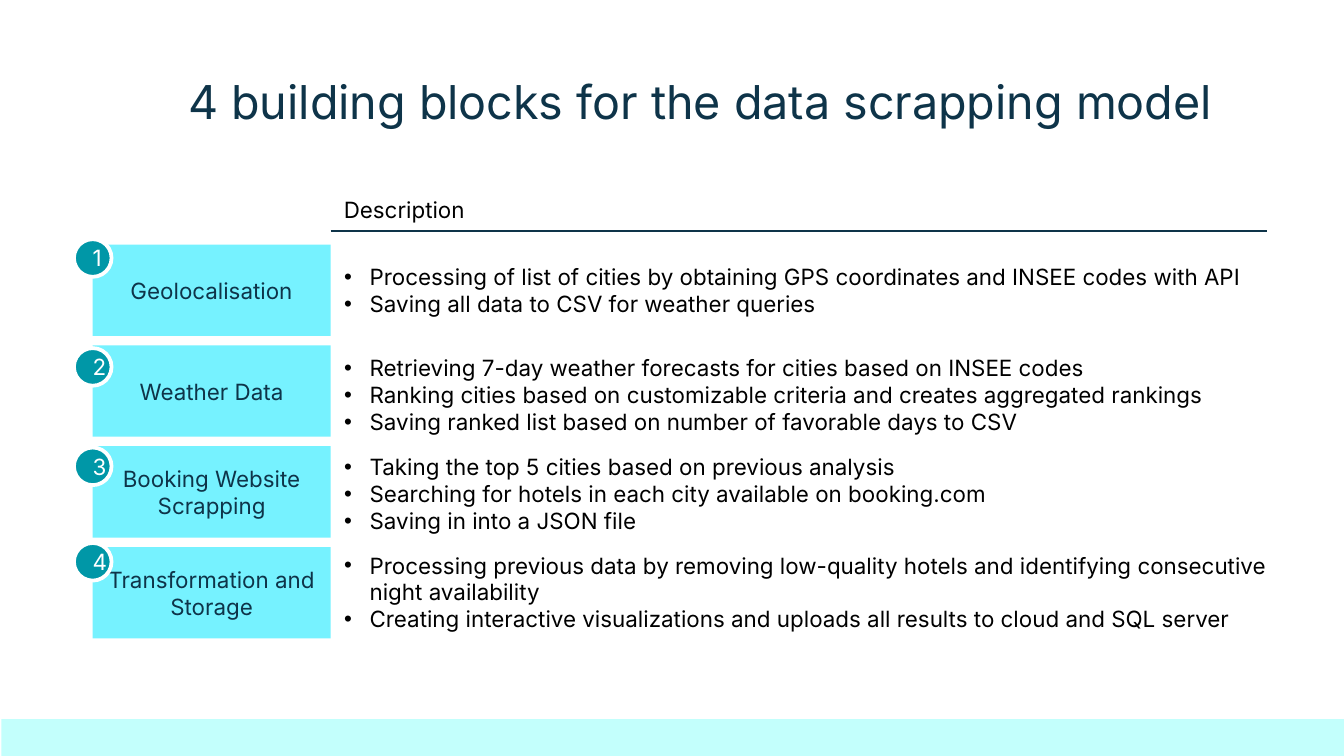
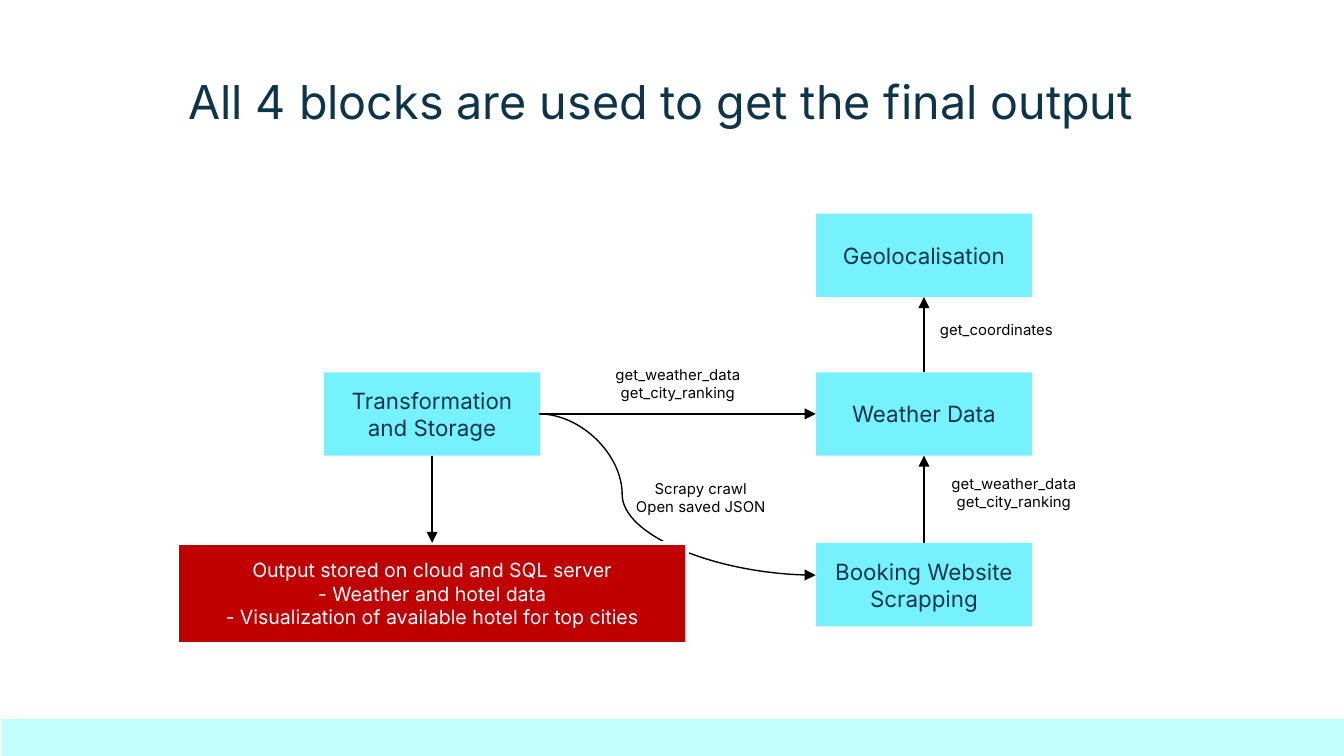
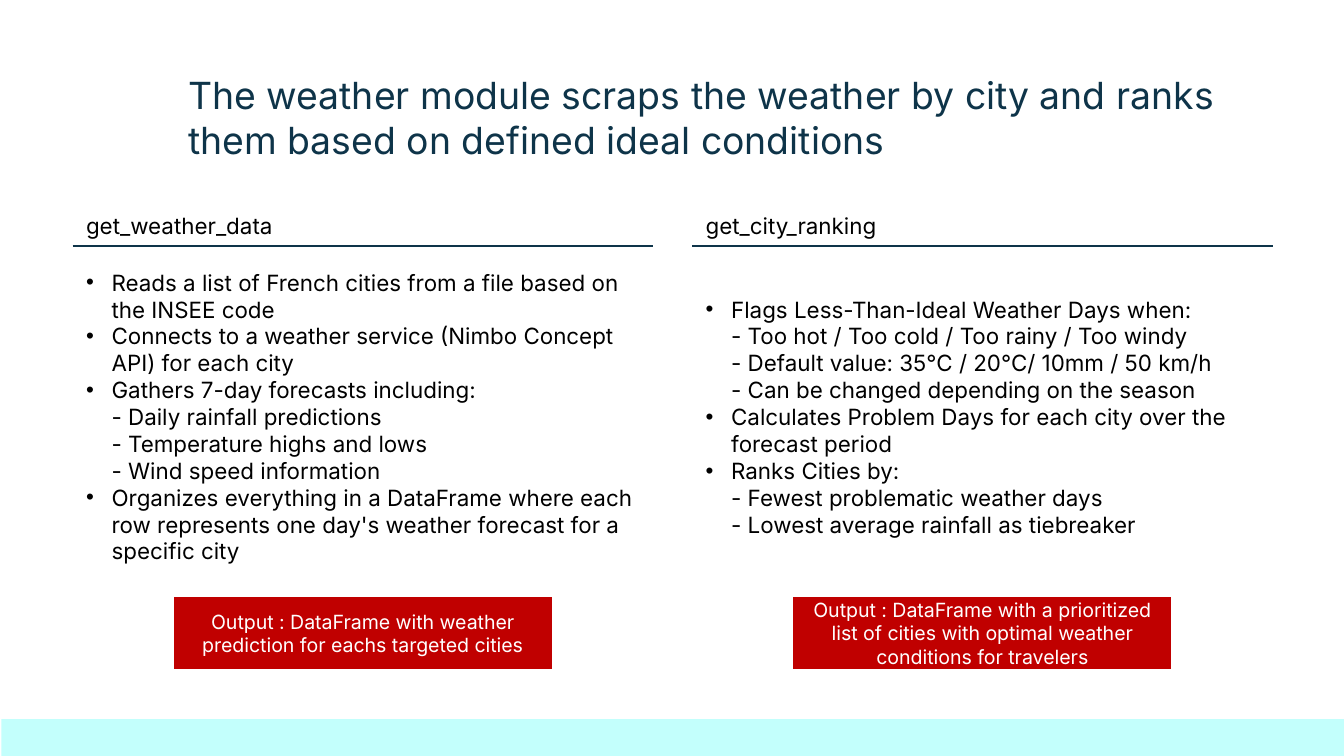
"""Build three slides on the blocks of a data scraping model."""
from dataclasses import dataclass
from typing import NamedTuple

from lxml.etree import SubElement
from pptx import Presentation
from pptx.dml.color import RGBColor
from pptx.enum.shapes import MSO_CONNECTOR, MSO_SHAPE
from pptx.enum.text import MSO_ANCHOR, MSO_AUTO_SIZE, PP_ALIGN
from pptx.oxml.ns import qn
from pptx.util import Inches, Pt


@dataclass(frozen=True)
class Theme:
    """Colours, font and type sizes of the deck."""
    navy: str = "0E3449"
    black: str = "000000"
    white: str = "FFFFFF"
    cyan: str = "76F2FF"
    pale: str = "C3FFFC"
    teal: str = "0097A7"
    red: str = "C00000"
    font: str = "Inter"
    title: float = 25
    long: float = 20
    body: float = 12
    result: float = 10.5
    label: float = 8
    rule: float = 0.75
    edge: float = 2


class Box(NamedTuple):
    """A place on the slide, in inches."""
    left: float
    top: float
    width: float
    height: float


class Row(NamedTuple):
    """A numbered block with its list."""
    name: str
    badge: float
    place: Box
    points: list[str]


class Column(NamedTuple):
    """A function with its points and its result."""
    left: float
    name: str
    top: float
    height: float
    points: list[str]
    result: str


class Label(NamedTuple):
    """Small text beside an arrow."""
    place: Box
    lines: list[str]


THEME = Theme()
TITLE_ONLY, COMPARE = 5, 4
TOP, LEFT, BOTTOM, RIGHT = range(4)
GEO, WEATHER = "Geolocalisation", "Weather Data"
BOOKING, STORAGE = "Booking Website Scrapping", "Transformation and Storage"
FORECAST, RANKING = "get_weather_data", "get_city_ranking"

ROWS = [
    Row(GEO, 1.78, Box(2.46, 1.91, 7.05, 0.5), [
        "Processing of list of cities by obtaining GPS coordinates and INSEE codes with API",
        "Saving all data to CSV for weather queries"]),
    Row(WEATHER, 2.59, Box(2.46, 2.58, 7.46, 0.71), [
        "Retrieving 7-day weather forecasts for cities based on INSEE codes",
        "Ranking cities based on customizable criteria and creates aggregated rankings",
        "Saving ranked list based on number of favorable days to CSV"]),
    Row(BOOKING, 3.33, Box(2.46, 3.32, 6.97, 0.71), [
        "Taking the top 5 cities based on previous analysis",
        "Searching for hotels in each city available on booking.com",
        "Saving in into a JSON file"]),
    Row(STORAGE, 4.04, Box(2.46, 4.05, 7.29, 0.71), [
        "Processing previous data by removing low-quality hotels and identifying "
        "consecutive night availability",
        "Creating interactive visualizations and uploads all results to cloud and SQL server"]),
]

BLOCKS = {GEO: (6.07, 1.59), WEATHER: (6.07, 2.77),
          STORAGE: (2.41, 2.77), BOOKING: (6.07, 4.04)}

LABELS = [
    Label(Box(6.75, 2.33, 1.33, 0.24), ["get_coordinates"]),
    Label(Box(6.88, 3.48, 1.33, 0.37), [FORECAST, RANKING]),
    Label(Box(4.38, 2.67, 1.33, 0.37), [FORECAST, RANKING]),
    Label(Box(4.55, 3.52, 1.33, 0.37), ["Scrapy crawl", "Open saved JSON"]),
]

COLUMNS = [
    Column(0.54, FORECAST, 1.94, 2.32, [
        "Reads a list of French cities from a file based on the INSEE code",
        "Connects to a weather service (Nimbo Concept API) for each city",
        "Gathers 7-day forecasts including:\n- Daily rainfall predictions\n"
        "- Temperature highs and lows\n- Wind speed information",
        "Organizes everything in a DataFrame where each row represents one day's "
        "weather forecast for a specific city"],
        "Output : DataFrame with weather prediction for eachs targeted cities"),
    Column(5.15, RANKING, 2.14, 1.92, [
        "Flags Less-Than-Ideal Weather Days when:\n- Too hot / Too cold / Too rainy / Too windy\n"
        "- Default value: 35°C / 20°C/ 10mm / 50 km/h\n- Can be changed depending on the season",
        "Calculates Problem Days for each city over the forecast period",
        "Ranks Cities by:\n- Fewest problematic weather days\n"
        "- Lowest average rainfall as tiebreaker"],
        "Output : DataFrame with a prioritized list of cities with optimal weather "
        "conditions for travelers"),
]


def paint(code: str) -> RGBColor:
    """Turn a hex code into a colour."""
    return RGBColor.from_string(code)


def place(shape, box: Box) -> None:
    """Move and size a shape."""
    shape.left, shape.top, shape.width, shape.height = map(Inches, box)


def bullet(para) -> None:
    """Give a paragraph a hanging black bullet."""
    props = para._p.get_or_add_pPr()
    props.set("marL", str(Inches(0.19)))
    props.set("indent", str(-Inches(0.19)))
    colour = SubElement(props, qn("a:buClr"))
    SubElement(colour, qn("a:srgbClr"), val=THEME.black)
    SubElement(props, qn("a:buFont"), typeface="Arial")
    SubElement(props, qn("a:buChar"), char="•")


def write(shape, lines: list[str], size: float, colour: str, align=PP_ALIGN.LEFT,
          anchor=MSO_ANCHOR.MIDDLE, listed: bool = False) -> None:
    """Fill a shape with paragraphs, run by run."""
    frame = shape.text_frame
    frame.word_wrap = True
    frame.auto_size = MSO_AUTO_SIZE.NONE
    frame.vertical_anchor = anchor
    for i, line in enumerate(lines):
        para = frame.add_paragraph() if i else frame.paragraphs[0]
        para.alignment = align
        para.space_before = Pt(0)
        if listed:
            bullet(para)
        for j, part in enumerate(line.split("\n")):
            if j:
                para.add_line_break()
            run = para.add_run()
            run.text = part
            font = run.font
            font.name, font.size, font.bold = THEME.font, Pt(size), False
            font.color.rgb = paint(colour)


def fill_list(holder, box: Box, points: list[str]) -> None:
    """Place a bullet list in a body placeholder."""
    place(holder, box)
    write(holder, points, THEME.body, THEME.black, listed=True)


def fill_head(holder, box: Box, text: str) -> None:
    """Write a heading in a text holder."""
    place(holder, box)
    write(holder, [text], THEME.body, THEME.black, anchor=MSO_ANCHOR.TOP)


def draw(slide, box: Box, fill: str, edge: str = "", form=MSO_SHAPE.RECTANGLE):
    """Add a flat filled shape."""
    shape = slide.shapes.add_shape(form, *map(Inches, box))
    shape.shadow.inherit = False
    shape.fill.solid()
    shape.fill.fore_color.rgb = paint(fill)
    if edge:
        shape.line.color.rgb = paint(edge)
        shape.line.width = Pt(THEME.edge)
    else:
        shape.line.fill.background()
    return shape


def draw_block(slide, box: Box, name: str):
    """Add a cyan block with its name."""
    shape = draw(slide, box, THEME.cyan)
    write(shape, [name], THEME.body, THEME.navy, PP_ALIGN.CENTER)
    return shape


def draw_result(slide, box: Box, text: str):
    """Add a red result box."""
    shape = draw(slide, box, THEME.red, THEME.white)
    write(shape, [text], THEME.result, THEME.white, PP_ALIGN.CENTER)
    return shape


def draw_line(slide, start: tuple[float, float], end: tuple[float, float],
              colour: str, kind=MSO_CONNECTOR.STRAIGHT, arrow: bool = False):
    """Add a thin line, with an arrowhead if asked."""
    line = slide.shapes.add_connector(kind, *map(Inches, (*start, *end)))
    line.line.color.rgb = paint(colour)
    line.line.width = Pt(THEME.rule)
    if arrow:
        SubElement(line.line._get_or_add_ln(), qn("a:tailEnd"), type="triangle")
    SubElement(line._element.spPr, qn("a:effectLst"))
    return line


def link(slide, source, out: int, target, into: int) -> None:
    """Join two boxes with a straight arrow."""
    arrow = draw_line(slide, (0, 0), (0, 0), THEME.black, arrow=True)
    arrow.begin_connect(source, out)
    arrow.end_connect(target, into)


def start_slide(deck, layout: int, text: str, size: float = THEME.title):
    """Add a slide with the shared title and band."""
    slide = deck.slides.add_slide(deck.slide_layouts[layout])
    title = slide.shapes.title
    place(title, Box(1.3, 0.44, 8.51, 0.58))
    write(title, [text], size, THEME.navy, anchor=MSO_ANCHOR.TOP)
    frame = title.text_frame
    frame.margin_left = frame.margin_right = Inches(0.1)
    frame.margin_top = frame.margin_bottom = Inches(0.1)
    draw(slide, Box(0.01, 5.35, 10, 0.28), THEME.pale)
    return slide


def build_rows(deck) -> None:
    """Build the slide that lists the blocks."""
    slide = start_slide(deck, COMPARE, "4 building blocks for the data scrapping model")
    head = slide.shapes.add_textbox(0, 0, 0, 0)
    fill_head(head, Box(2.46, 1.41, 6.97, 0.3), "Description")
    draw_line(slide, (2.46, 1.72), (9.43, 1.72), THEME.navy)
    for i, row in enumerate(ROWS):
        draw_block(slide, Box(0.69, 1.82 + 0.75 * i, 1.77, 0.68), row.name)
        badge = draw(slide, Box(0.55, row.badge, 0.28, 0.28), THEME.teal,
                     THEME.white, MSO_SHAPE.OVAL)
        write(badge, [str(i + 1)], THEME.body, THEME.white, PP_ALIGN.CENTER)
        fill_list(slide.placeholders[i + 1], row.place, row.points)


def build_flow(deck) -> None:
    """Build the slide that shows how blocks call each other."""
    slide = start_slide(deck, TITLE_ONLY, "All 4 blocks are used to get the final output")
    blocks = {name: draw_block(slide, Box(*spot, 1.61, 0.62), name)
              for name, spot in BLOCKS.items()}
    curve = draw_line(slide, (4.01, 3.08), (6.07, 4.28), THEME.black,
                      MSO_CONNECTOR.CURVE, arrow=True)
    guides = curve._element.spPr.find(qn("a:prstGeom")).get_or_add_avLst()
    SubElement(guides, qn("a:gd"), name="adj1", fmla="val 30100")
    result = draw_result(slide, Box(1.32, 4.04, 3.79, 0.75),
                         "Output stored on cloud and SQL server\n- Weather and hotel data\n"
                         "- Visualization of available hotel for top cities")
    for label in LABELS:
        note = slide.shapes.add_textbox(*map(Inches, label.place))
        write(note, label.lines, THEME.label, THEME.black, PP_ALIGN.CENTER)
    link(slide, blocks[WEATHER], TOP, blocks[GEO], BOTTOM)
    link(slide, blocks[BOOKING], TOP, blocks[WEATHER], BOTTOM)
    link(slide, blocks[STORAGE], RIGHT, blocks[WEATHER], LEFT)
    link(slide, blocks[STORAGE], BOTTOM, result, TOP)


def build_columns(deck) -> None:
    """Build the slide on the weather functions."""
    slide = start_slide(deck, COMPARE,
                        "The weather module scraps the weather by city and ranks them "
                        "based on defined ideal conditions", THEME.long)
    width = 4.32
    for i, col in enumerate(COLUMNS):
        fill_head(slide.placeholders[2 * i + 1], Box(col.left, 1.53, width, 0.3), col.name)
        draw_line(slide, (col.left, 1.83), (col.left + width, 1.83), THEME.navy)
        fill_list(slide.placeholders[2 * i + 2],
                  Box(col.left, col.top, width, col.height), col.points)
        draw_result(slide, Box(col.left + 0.74, 4.43, 2.84, 0.56), col.result)


def main() -> None:
    """Build and save the deck."""
    deck = Presentation()
    deck.slide_width = Inches(10)
    deck.slide_height = deck.slide_width * 9 // 16
    build_rows(deck)
    build_flow(deck)
    build_columns(deck)
    deck.save("out.pptx")


if __name__ == "__main__":
    main()
